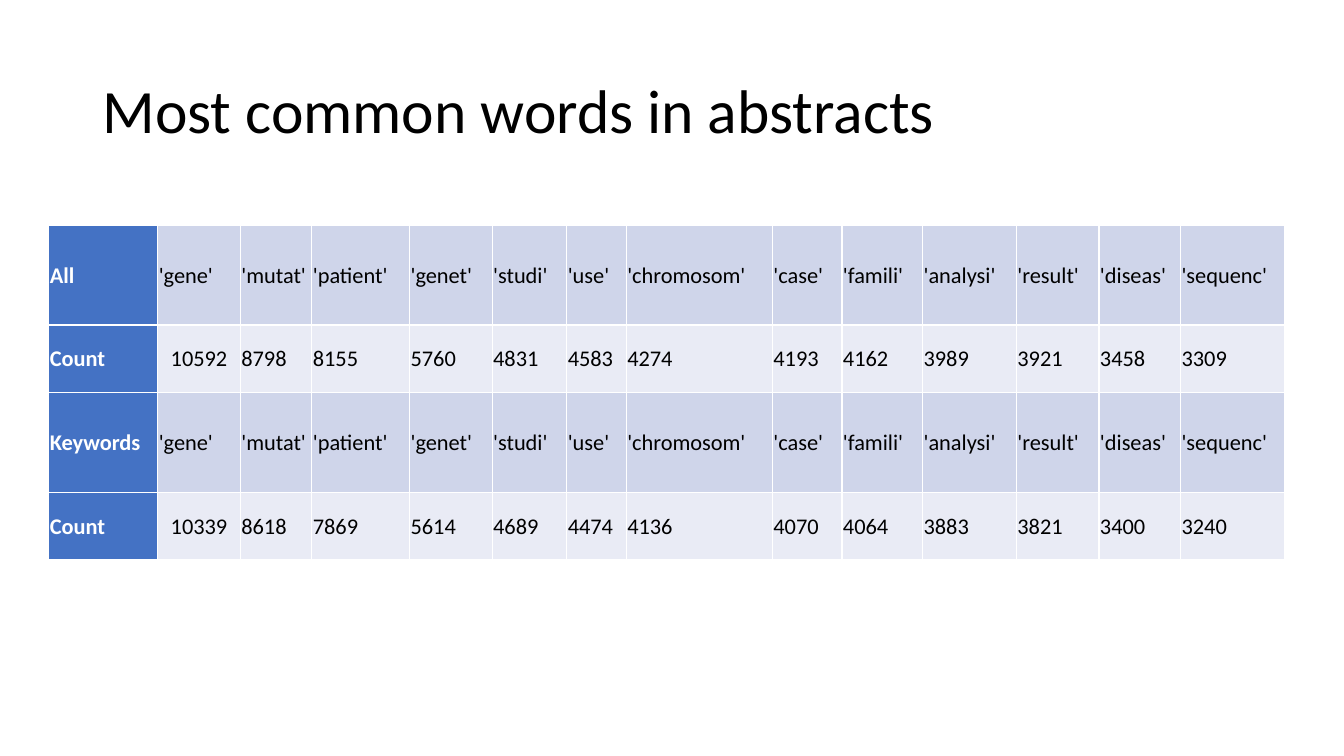
import dataclasses

import lxml.etree
import pptx
import pptx.dml.color
import pptx.enum.text
import pptx.oxml.ns
import pptx.util

Pt = pptx.util.Pt


@dataclasses.dataclass(frozen=True)
class Theme:
    font: str = "Calibri"
    title_size: float = 44
    cell_size: float = 16
    text: str = "000000"
    label_text: str = "FFFFFF"
    label_fill: str = "4472C4"
    word_fill: str = "CFD5EA"
    count_fill: str = "E9EBF5"
    border: str = "FFFFFF"
    border_width: float = 1
    cell_inset: float = 0.75


class SlideBuilder:
    def __init__(self, slide, theme):
        self.slide = slide
        self.theme = theme

    def style_text(self, paragraph, size, color, bold=False):
        for run in paragraph.runs:
            run.font.name = self.theme.font
            run.font.size = Pt(size)
            run.font.bold = bold
            run.font.color.rgb = pptx.dml.color.RGBColor.from_string(color)

    def title(self, wording, left, top, width, height):
        heading = self.slide.shapes.title
        heading.left, heading.top = Pt(left), Pt(top)
        heading.width, heading.height = Pt(width), Pt(height)
        frame = heading.text_frame
        frame.text = wording
        frame.word_wrap = True
        frame.auto_size = pptx.enum.text.MSO_AUTO_SIZE.NONE
        frame.vertical_anchor = pptx.enum.text.MSO_ANCHOR.MIDDLE
        line = frame.paragraphs[0]
        line.alignment = pptx.enum.text.PP_ALIGN.LEFT
        line.line_spacing = 0.9
        self.style_text(line, self.theme.title_size, self.theme.text)

    def borders(self, cell):
        properties = cell._tc.get_or_add_tcPr()
        qn = pptx.oxml.ns.qn
        for side in ("lnL", "lnR", "lnT", "lnB"):
            edge = lxml.etree.SubElement(
                properties, qn(f"a:{side}"), w=str(Pt(self.theme.border_width)))
            fill = lxml.etree.SubElement(edge, qn("a:solidFill"))
            lxml.etree.SubElement(fill, qn("a:srgbClr"), val=self.theme.border)

    def cell(self, cell, wording, fill, color, bold, alignment):
        self.borders(cell)
        cell.fill.solid()
        cell.fill.fore_color.rgb = pptx.dml.color.RGBColor.from_string(fill)
        cell.margin_left = cell.margin_right = cell.margin_top = Pt(self.theme.cell_inset)
        cell.margin_bottom = 0
        cell.vertical_anchor = pptx.enum.text.MSO_ANCHOR.MIDDLE
        cell.text_frame.text = wording
        line = cell.text_frame.paragraphs[0]
        line.alignment = alignment
        self.style_text(line, self.theme.cell_size, color, bold)

    def table(self, rows, left, top, widths, heights):
        grid = self.slide.shapes.add_table(
            len(rows), len(widths), Pt(left), Pt(top),
            Pt(sum(widths)), Pt(sum(heights))).table
        grid.first_row = grid.horz_banding = False
        for column, width in zip(grid.columns, widths):
            column.width = Pt(width)
        align = pptx.enum.text.PP_ALIGN
        for r, (row, height) in enumerate(zip(rows, heights)):
            grid.rows[r].height = Pt(height)
            is_count = r % 2 == 1
            row_fill = self.theme.count_fill if is_count else self.theme.word_fill
            for c, wording in enumerate(row):
                is_label = c == 0
                self.cell(
                    grid.cell(r, c), wording,
                    self.theme.label_fill if is_label else row_fill,
                    self.theme.label_text if is_label else self.theme.text,
                    is_label,
                    align.CENTER if is_count and c == 1 else align.LEFT)


STEMS = ["gene", "mutat", "patient", "genet", "studi", "use", "chromosom",
         "case", "famili", "analysi", "result", "diseas", "sequenc"]
COUNTS = {
    "All": [10592, 8798, 8155, 5760, 4831, 4583, 4274,
            4193, 4162, 3989, 3921, 3458, 3309],
    "Keywords": [10339, 8618, 7869, 5614, 4689, 4474, 4136,
                 4070, 4064, 3883, 3821, 3400, 3240],
}
COLUMN_WIDTHS = [77.8, 59, 51.1, 69.8, 59, 53.3, 42.5,
                 104.4, 49.7, 57.6, 67, 59, 58.3, 74.2]
ROW_HEIGHTS = [71.5, 48] * len(COUNTS)


def main():
    presentation = pptx.Presentation()
    presentation.slide_width, presentation.slide_height = Pt(960), Pt(540)
    slide = presentation.slides.add_slide(presentation.slide_layouts[5])
    builder = SlideBuilder(slide, Theme())
    builder.title("Most common words in abstracts", 66, 28.75, 828, 104.4)
    rows = []
    for source, counts in COUNTS.items():
        rows.append([source] + [f"'{stem}'" for stem in STEMS])
        rows.append(["Count"] + [str(count) for count in counts])
    builder.table(rows, 34.9, 160.7, COLUMN_WIDTHS, ROW_HEIGHTS)
    presentation.save("out.pptx")


if __name__ == "__main__":
    main()
